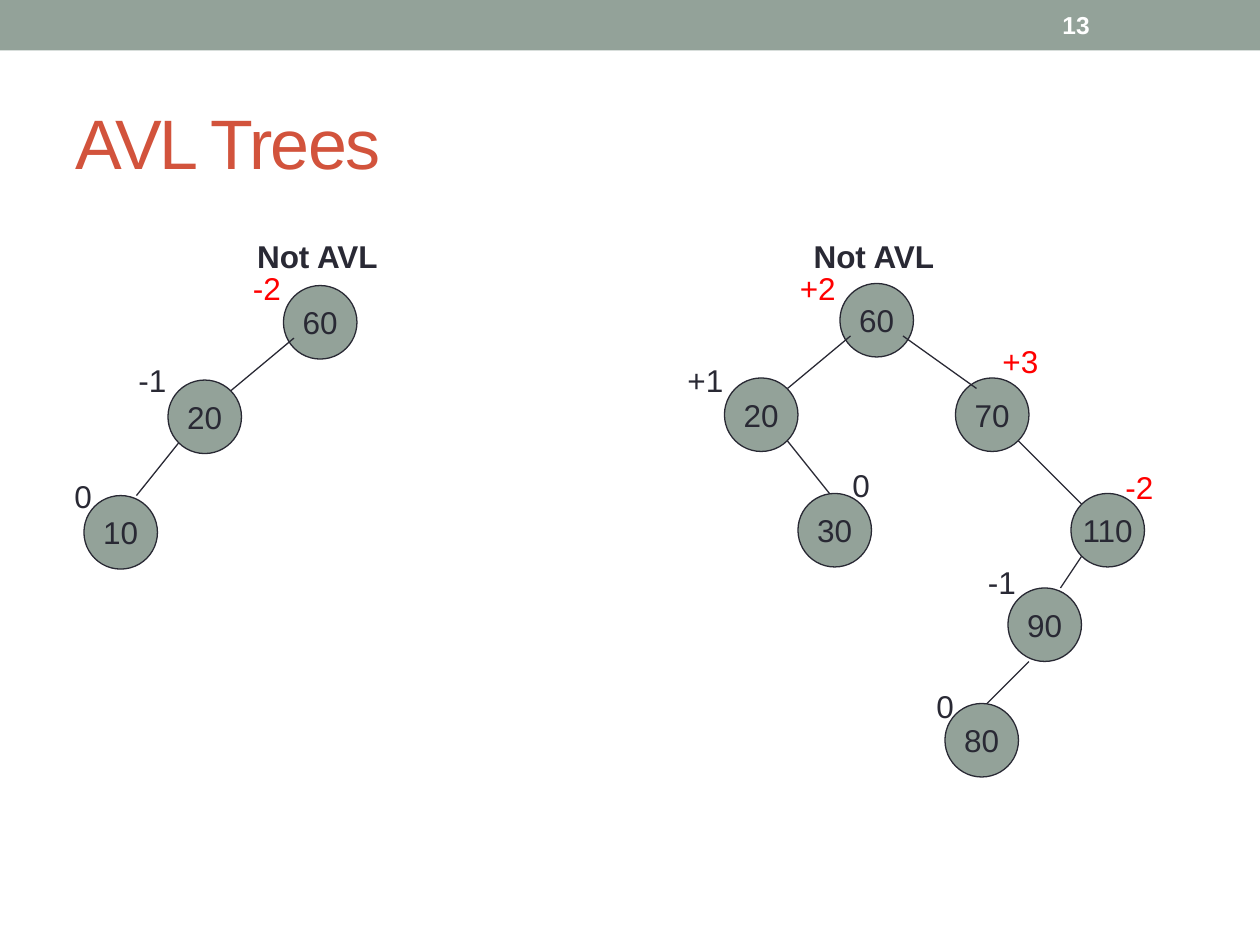
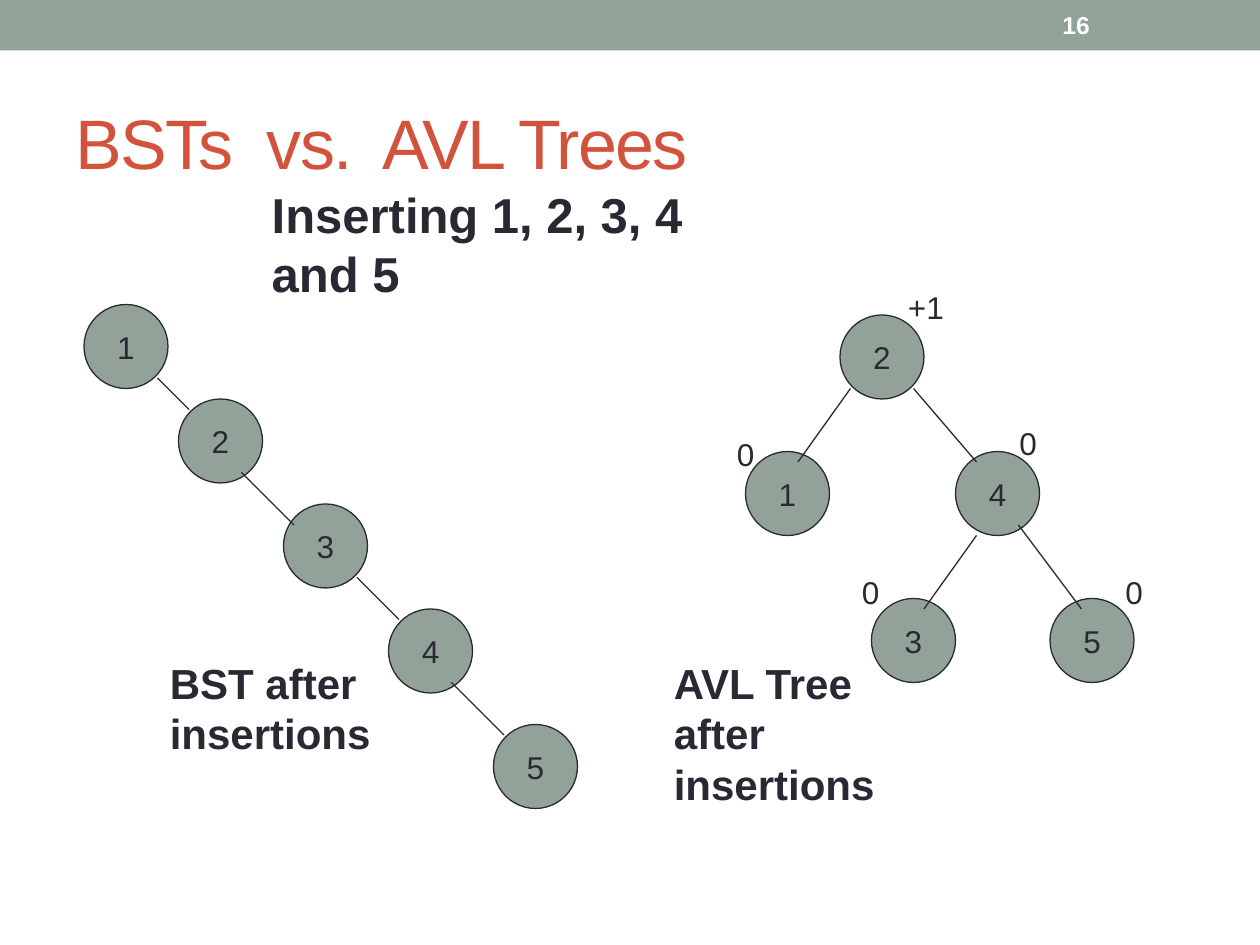
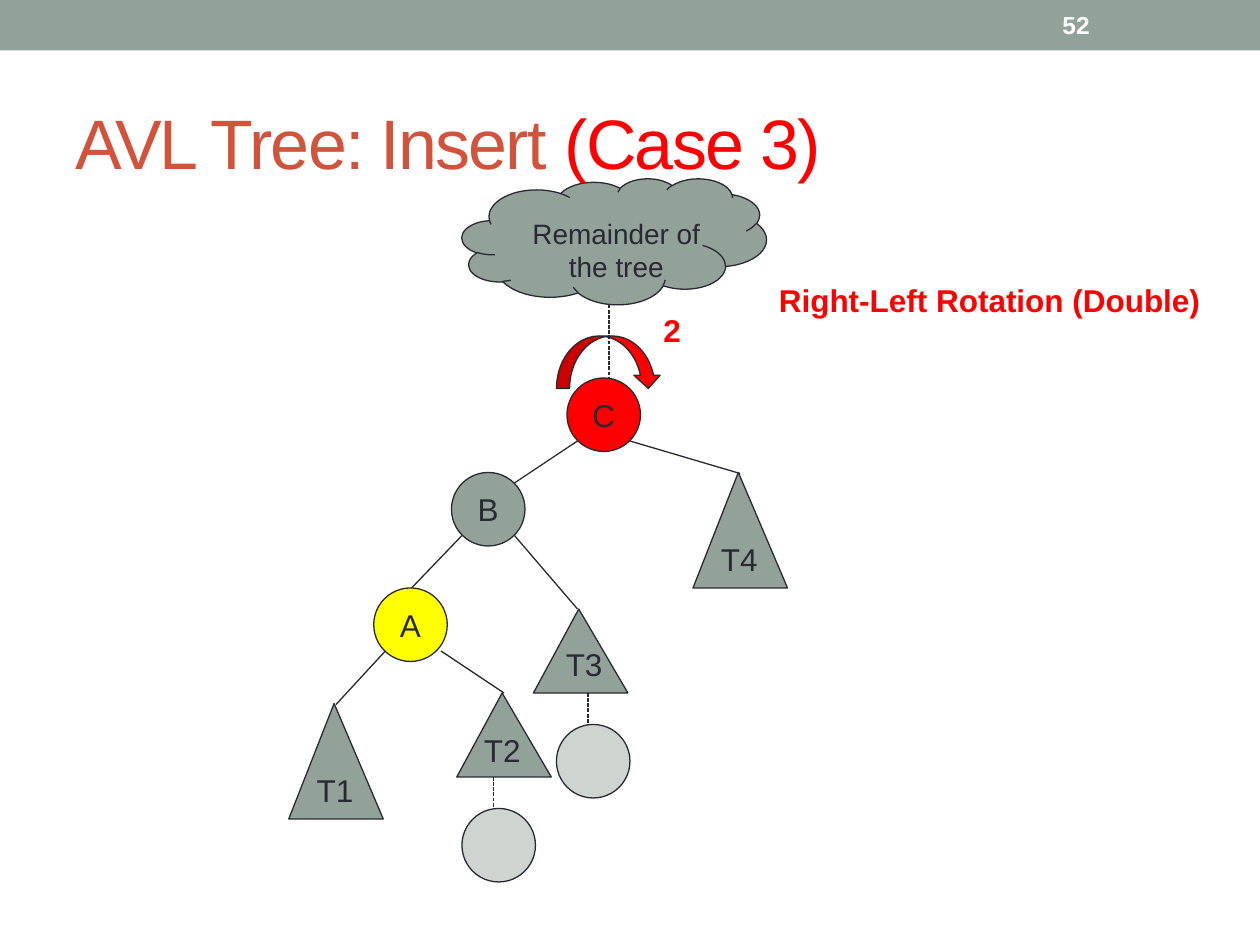
"""Build three slides that explain AVL trees."""
from dataclasses import dataclass

from lxml.etree import SubElement
from pptx import Presentation
from pptx.dml.color import RGBColor as Rgb
from pptx.enum.dml import MSO_LINE as Dash
from pptx.enum.shapes import MSO_CONNECTOR as Link, MSO_SHAPE as Kind
from pptx.enum.text import MSO_ANCHOR as Anchor, PP_ALIGN as Align
from pptx.oxml.ns import qn
from pptx.util import Cm, Pt


@dataclass(frozen=True)
class Theme:
    """Colours, type sizes and measures shared by the slides."""
    font: str = "Arial"
    sage: Rgb = Rgb(0x93, 0xA2, 0x99)
    ink: Rgb = Rgb(0x29, 0x29, 0x34)
    rust: Rgb = Rgb(0xD2, 0x53, 0x3C)
    red: Rgb = Rgb(0xFF, 0, 0)
    yellow: Rgb = Rgb(0xFF, 0xFF, 0)
    white: Rgb = Rgb(0xFF, 0xFF, 0xFF)
    title: int = 40
    headline: int = 28
    caption: int = 24
    body: int = 18
    note: int = 16
    number: int = 14
    stroke: float = 0.75


THEME = Theme()
STEP_CM = 2.54 / 12
BALANCE_WIDTHS = {"0": 4.1, "-": 6.1, "+": 6.7}


def step(count):
    """Convert drawing-grid steps, twelve to the inch, to a length."""
    return Cm(count * STEP_CM)


def steps(*counts):
    """Convert several grid counts to lengths."""
    return [step(count) for count in counts]


def style_run(run, size, color, bold=False):
    """Give a run its font, size, colour and weight."""
    run.font.name = THEME.font
    run.font.size = Pt(size)
    run.font.bold = bold
    run.font.color.rgb = color


def write(frame, text, size, color, bold=False, align=Align.LEFT):
    """Put text in a frame and style all of its runs."""
    frame.text = text
    for paragraph in frame.paragraphs:
        paragraph.alignment = align
        for run in paragraph.runs:
            style_run(run, size, color, bold)


def add_label(slide, text, box, size=THEME.body, color=THEME.ink, bold=False,
              align=Align.LEFT, wrap=False, anchor=Anchor.TOP):
    """Add free-standing text."""
    frame = slide.shapes.add_textbox(*steps(*box)).text_frame
    frame.word_wrap = wrap
    frame.vertical_anchor = anchor
    write(frame, text, size, color, bold, align)
    return frame


def add_figure(slide, kind, box, fill=THEME.sage, text="", opacity=None):
    """Add an outlined shape with optional centred text."""
    figure = slide.shapes.add_shape(kind, *steps(*box))
    figure.shadow.inherit = False
    figure.fill.solid()
    figure.fill.fore_color.rgb = fill
    figure.line.color.rgb = THEME.ink
    figure.line.width = Pt(THEME.stroke)
    if opacity:
        tint = figure.fill._xPr.find(".//" + qn("a:srgbClr"))
        SubElement(tint, qn("a:alpha")).set("val", str(opacity * 1000))
    if text:
        figure.text_frame.word_wrap = False
        figure.text_frame.vertical_anchor = Anchor.MIDDLE
        write(figure.text_frame, text, THEME.body, THEME.ink, align=Align.CENTER)
    return figure


def add_node(slide, key, left, top, size=7, fill=THEME.sage, opacity=None):
    """Add a round tree node."""
    add_figure(slide, Kind.OVAL, (left, top, size, size), fill, key, opacity)


def add_subtree(slide, key, left, top, height):
    """Add a triangle that stands for a subtree."""
    triangle = add_figure(slide, Kind.ISOSCELES_TRIANGLE, (left, top, 9, height), text=key)
    triangle.adjustments[0] = 0.48


def add_edge(slide, *ends, dashed=False):
    """Add a line between two points."""
    edge = slide.shapes.add_connector(Link.STRAIGHT, *steps(*ends))
    edge.line.color.rgb = THEME.ink
    edge.line.width = Pt(THEME.stroke)
    if dashed:
        edge.line.dash_style = Dash.SQUARE_DOT
    SubElement(edge._element.spPr, qn("a:effectLst"))


def add_balance(slide, factor, left, top):
    """Add a balance factor, in red when it breaks the AVL rule."""
    color = THEME.red if abs(int(factor)) > 1 else THEME.ink
    add_label(slide, factor, (left, top, BALANCE_WIDTHS[factor[0]], 4.8), color=color)


def add_tree(slide, nodes, edges, balances=(), size=7):
    """Add a tree's nodes, edges and balance factors."""
    for key, left, top in nodes:
        add_node(slide, key, left, top, size)
    for ends in edges:
        add_edge(slide, *ends)
    for balance in balances:
        add_balance(slide, *balance)


def add_page(deck, number):
    """Add a blank slide with the top band and slide number."""
    slide = deck.slides.add_slide(deck.slide_layouts[6])
    band = add_figure(slide, Kind.RECTANGLE, (0, 0, 120, 4.8))
    band.line.fill.background()
    add_label(slide, str(number), (100, 0.2, 14, 4.3), THEME.number, THEME.white,
              bold=True, anchor=Anchor.MIDDLE)
    return slide


def add_title(slide, title, accent=""):
    """Add the slide title with an optional red ending."""
    frame = add_label(slide, title, (6, 7, 108, 13), THEME.title, THEME.rust,
                      wrap=True, anchor=Anchor.MIDDLE)
    heading = frame.paragraphs[0]
    if accent:
        ending = heading.add_run()
        ending.text = accent
        style_run(ending, THEME.title, THEME.red)
    for run in heading.runs:
        run.font._element.set("spc", "-100")


def build_unbalanced(deck):
    """Show two trees that are not AVL trees."""
    slide = add_page(deck, 13)
    add_title(slide, "AVL Trees")
    for left in (23.3, 76.3):
        add_label(slide, "Not AVL", (left, 22, 14.3, 4.8), bold=True)
    add_tree(
        slide,
        [("60", 27, 27.2), ("10", 8, 47.2), ("20", 16, 36.2)],
        [(28, 32.2, 22, 37.2), (17, 42.2, 13, 47.2)],
        [("-2", 22.9, 25), ("-1", 12, 33.8), ("0", 5.9, 44.8)],
    )
    add_tree(
        slide,
        [("70", 91, 36), ("60", 80, 27), ("90", 96, 56), ("30", 76, 47),
         ("20", 69, 36), ("110", 102, 47), ("80", 90, 67)],
        [(81, 32, 75, 37), (86, 32, 93, 37), (75, 42, 79, 47),
         (97, 42, 103, 48), (103, 53, 101, 56), (98, 63, 94, 67)],
        [("+2", 75, 25), ("+1", 64.3, 33.8), ("+3", 94.3, 32), ("0", 80, 43.8),
         ("-2", 106, 44), ("-1", 92.9, 53), ("0", 88, 64.8)],
    )


def build_comparison(deck):
    """Compare a BST with an AVL tree after the same insertions."""
    slide = add_page(deck, 16)
    add_title(slide, "BSTs  vs.  AVL Trees")
    add_tree(
        slide,
        [("1", 8, 29), ("2", 17, 38), ("3", 27, 48), ("4", 37, 58), ("5", 47, 69)],
        [(15, 36, 18, 39), (23, 45, 28, 50), (34, 55, 38, 59), (43, 65, 48, 70)],
        size=8,
    )
    add_label(slide, "Inserting 1, 2, 3, 4 and 5", (24.7, 17, 50.3, 6.8),
              THEME.headline, bold=True, wrap=True)
    add_tree(
        slide,
        [("2", 80, 30), ("3", 83, 57), ("4", 91, 43), ("1", 71, 43), ("5", 100, 57)],
        [(81, 37, 76, 44), (87, 37, 93, 44), (93, 51, 88, 58), (97, 50, 103, 58)],
        [("+1", 85.3, 26.8), ("0", 69, 40.8), ("0", 95.9, 39.8),
         ("0", 80.9, 54), ("0", 106, 54)],
        size=8,
    )
    for caption, left, width in (("BST after\ninsertions", 15, 21.8),
                                 ("AVL Tree\nafter insertions", 63, 28.3)):
        add_label(slide, caption, (left, 62, width, 10.9), THEME.caption,
                  bold=True, wrap=True)


def build_rotation(deck):
    """Show the double rotation for insertion case 3."""
    slide = add_page(deck, 52)
    add_figure(slide, Kind.CLOUD, (44, 17, 29, 12))
    add_title(slide, "AVL Tree: Insert ", "(Case 3)")
    add_label(slide, "Remainder of\nthe tree", (48.4, 20, 20.6, 7.7), THEME.note,
              align=Align.CENTER, wrap=True)
    for key, left, top, fill in (("B", 43, 45, THEME.sage), ("C", 54, 36, THEME.red),
                                 ("A", 35.6, 56, THEME.yellow)):
        add_node(slide, key, left, top, fill=fill)
    for key, left, top, height in (("T4", 66, 45, 11), ("T1", 27.5, 67, 11),
                                   ("", 50.8, 58, 8), ("", 43.5, 66, 8)):
        add_subtree(slide, key, left, top, height)
    for key, left, top in (("T2", 44.9, 69), ("T3", 52.7, 60.8)):
        add_label(slide, key, (left, top, 6.1, 5.1))
    for left, top in ((44, 77), (53, 69)):
        add_node(slide, "", left, top, opacity=45)
    for ends in ((55, 42, 49, 46), (60, 42, 70.5, 45.1), (44, 51, 39.2, 56),
                 (49, 51, 55, 58), (42, 62, 48, 66), (36.7, 62, 32, 67.1)):
        add_edge(slide, *ends)
    for x, top, bottom in ((58, 29, 36), (47, 74, 77), (56, 66, 69)):
        add_edge(slide, x, top, x, bottom, dashed=True)
    add_figure(slide, Kind.CURVED_DOWN_ARROW, (53, 32, 10, 5), THEME.red)
    for remark, left, top, width in (("Right-Left Rotation (Double)", 73, 26.2, 44.2),
                                     ("2", 62, 29, 4.3)):
        add_label(slide, remark, (left, top, width, 4.8), color=THEME.red, bold=True)


def main():
    """Build and save the slides."""
    deck = Presentation()
    deck.slide_width, deck.slide_height = Cm(25.4), Cm(19.05)
    build_unbalanced(deck)
    build_comparison(deck)
    build_rotation(deck)
    deck.save("out.pptx")


if __name__ == "__main__":
    main()
